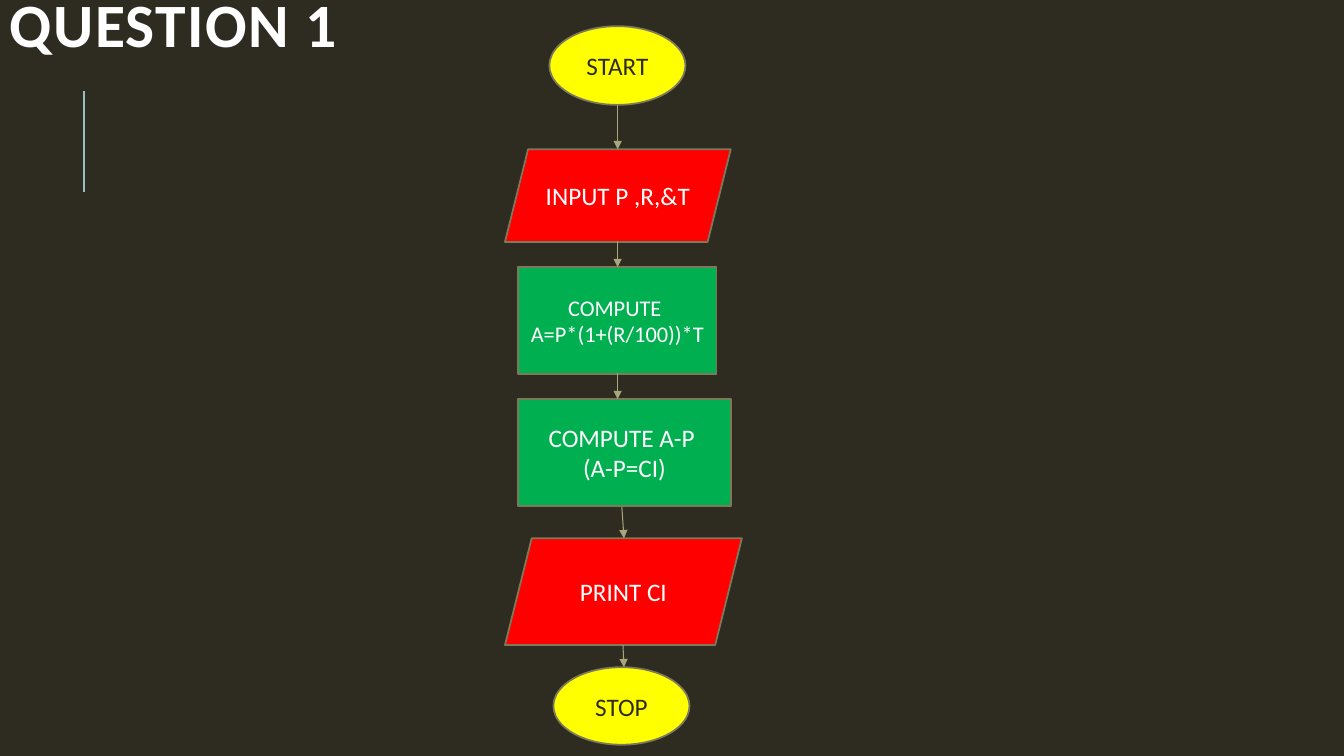
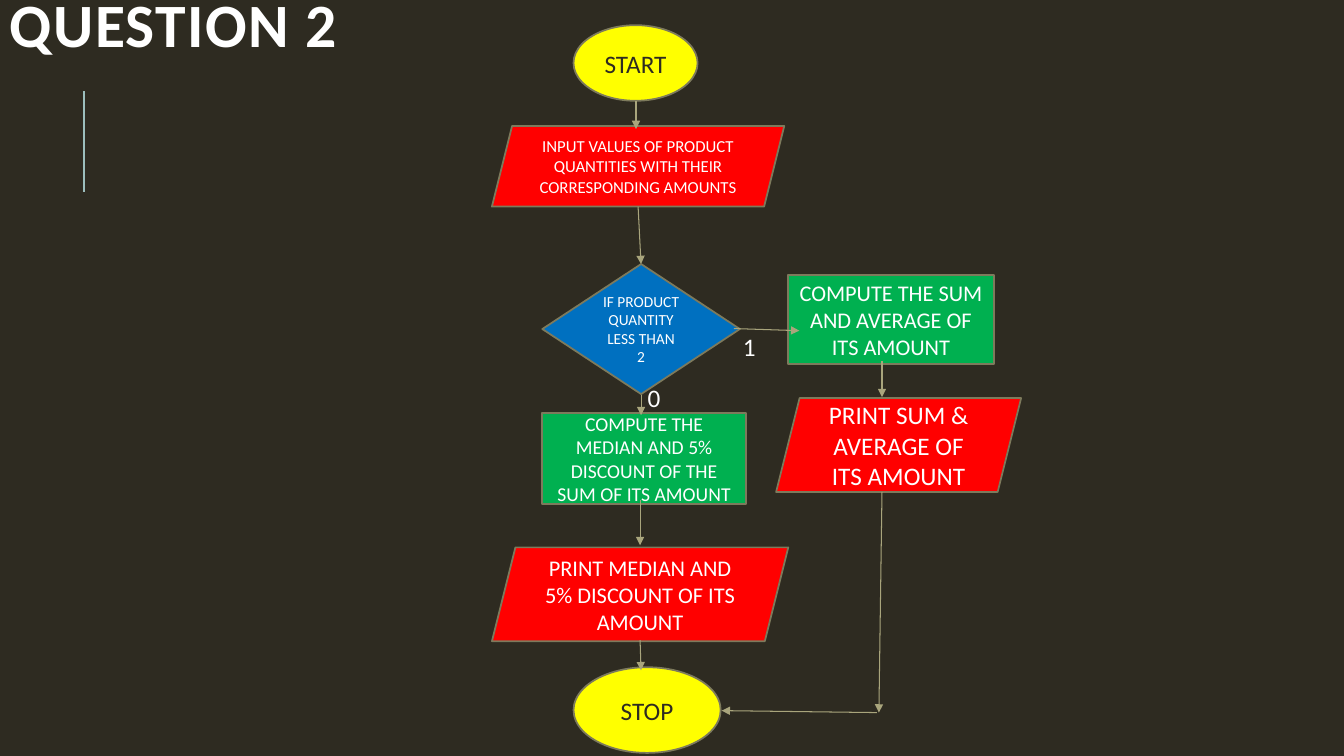
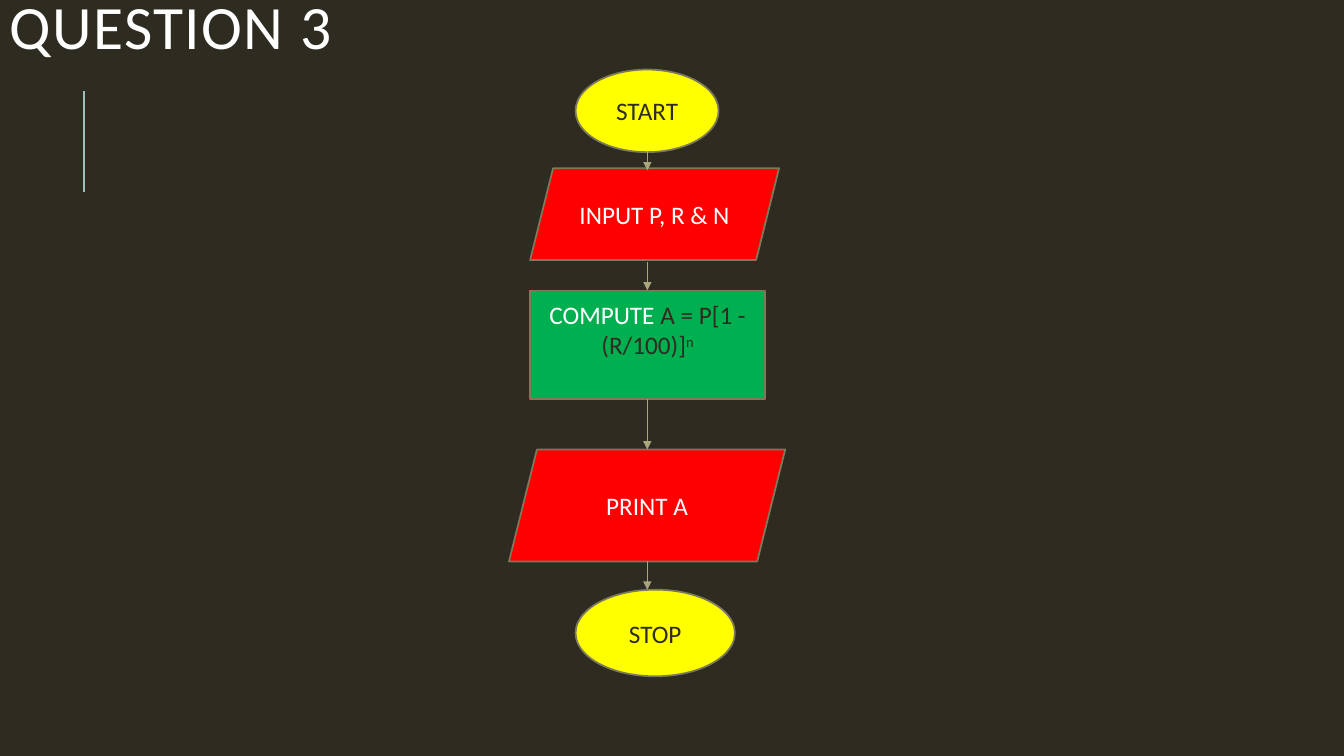
from lxml.etree import SubElement
from pptx import Presentation
from pptx.dml.color import RGBColor
from pptx.enum.shapes import MSO_CONNECTOR, MSO_SHAPE
from pptx.enum.text import MSO_ANCHOR, PP_ALIGN
from pptx.oxml.ns import qn
from pptx.util import Pt

# Shared look
FONT = "Calibri"
WIDTH, HEIGHT = 960, 540
DARK = RGBColor(0x2E, 0x2B, 0x21)
WHITE = RGBColor(0xFF, 0xFF, 0xFF)
YELLOW = RGBColor(0xFF, 0xFF, 0x00)
RED = RGBColor(0xFF, 0x00, 0x00)
GREEN = RGBColor(0x00, 0xB0, 0x50)
BLUE = RGBColor(0x00, 0x70, 0xC0)
OUTLINE = RGBColor(0x7D, 0x7A, 0x5C)
ARROW = RGBColor(0xA9, 0xA5, 0x7C)
ACCENT = RGBColor(0x9C, 0xBE, 0xBD)

# Kind of step: preset shape, fill, text colour
KINDS = {
    "terminal": (MSO_SHAPE.OVAL, YELLOW, DARK),
    "data": (MSO_SHAPE.PARALLELOGRAM, RED, WHITE),
    "process": (MSO_SHAPE.RECTANGLE, GREEN, WHITE),
    "decision": (MSO_SHAPE.DIAMOND, BLUE, WHITE),
}

# A step is kind, paragraphs, text size, (left, top, width, height).
# A paragraph is a string or a list of (text, format) runs.
# An arrow is (x1, y1, x2, y2); a label is text, left, top.
DISCOUNT_FORMULA = [
    ("COMPUTE ", {}),
    ("A = P[1 - (R/100)]", {"color": DARK}),
    ("n", {"color": DARK, "baseline": 30}),
]
SLIDES = [
    {
        "title": "QUESTION 1", "bold": True, "title_height": 43.2,
        "steps": [
            ("terminal", ["START"], 18, (392.4, 18.7, 97.2, 56.2)),
            ("data", ["INPUT P ,R,&T"], 18, (360.7, 106.6, 161.3, 66.2)),
            ("process", ["COMPUTE ", "A=P*(1+(R/100))*T"], 16,
             (370.1, 190.8, 141.8, 76.3)),
            ("process", ["COMPUTE A-P ", "(A-P=CI)"], 18,
             (370.1, 285.1, 151.9, 76.3)),
            ("data", ["PRINT CI"], 18, (360.7, 384.5, 169.2, 76.3)),
            ("terminal", ["STOP"], 18, (395.3, 476.6, 97.2, 55.4)),
        ],
        "arrows": [
            (441.2, 74.9, 441.2, 106.6),
            (441.2, 172.1, 441.2, 190.8),
            (441.2, 266.4, 441.2, 285.1),
            (444.2, 362.2, 445.7, 384.5),
            (445, 460.8, 445.7, 476.6),
        ],
        "labels": [],
    },
    {
        "title": "QUESTION 2", "bold": True, "title_height": 43.2,
        "steps": [
            ("terminal", ["START"], 18, (409.7, 18, 88.6, 54)),
            ("data", ["INPUT VALUES OF PRODUCT QUANTITIES WITH THEIR "
                      "CORRESPONDING AMOUNTS"], 12, (351.4, 90, 208.8, 57.6)),
            ("decision", ["IF PRODUCT QUANTITY LESS THAN 2"], 11,
             (387.4, 188.6, 141.1, 92.9)),
            ("process", ["COMPUTE THE MEDIAN AND 5% DISCOUNT OF THE "
                         "SUM OF ITS AMOUNT"], 14, (387.4, 295.2, 145.4, 64.8)),
            ("process", ["COMPUTE THE SUM AND AVERAGE OF ITS AMOUNT"], 16,
             (563, 196.6, 146.9, 63.4)),
            ("data", ["PRINT MEDIAN AND 5% DISCOUNT OF ITS AMOUNT"], 16,
             (351.4, 391, 211.7, 67)),
            ("terminal", ["STOP"], 18, (409.7, 476.6, 105.1, 61.2)),
            ("data", ["PRINT SUM & AVERAGE OF ITS AMOUNT"], 18,
             (554.4, 284.4, 175, 67)),
        ],
        "arrows": [
            (454.3, 72, 454.3, 92.2),
            (455.8, 147.6, 457.9, 188.6),
            (457.9, 282.2, 457.9, 296.6),
            (524.2, 234.7, 571, 236.2),
            (457.2, 357.1, 457.2, 389.5),
            (630, 257.8, 630, 283.7),
            (630, 351.4, 627.8, 509),
            (626.4, 509, 515.5, 507.6),
            (457.2, 457.2, 457.9, 478.8),
        ],
        "labels": [("1", 530.6, 236.9), ("0", 462.6, 272.9)],
    },
    {
        "title": "QUESTION 3", "bold": False, "title_height": 46,
        "steps": [
            ("terminal", ["START"], 18, (411.1, 49.7, 102.2, 59)),
            ("data", ["INPUT P, R & N"], 18, (378.7, 120.2, 177.8, 65.5)),
            ("process", [DISCOUNT_FORMULA], 18, (378.7, 207.4, 167.8, 77.8),
             {"bottom": 25.6}),
            ("data", ["PRINT A"], 18, (363.6, 321.1, 197.3, 79.9)),
            ("terminal", ["STOP"], 18, (411.1, 421.2, 113.8, 61.9)),
        ],
        "arrows": [
            (462.4, 108.7, 462.4, 121.7),
            (462.4, 187.2, 462.4, 207.4),
            (462.4, 285.1, 462.4, 321.1),
            (462.4, 401, 462.4, 421.2),
        ],
        "labels": [],
    },
]


def write(tf, paragraphs, size=18, color=WHITE, bold=False, align=PP_ALIGN.LEFT,
          anchor=MSO_ANCHOR.MIDDLE, spacing=None, tracking=0,
          side=7.2, top=3.6, bottom=3.6):
    tf.word_wrap = True
    tf.vertical_anchor = anchor
    tf.margin_left = tf.margin_right = Pt(side)
    tf.margin_top, tf.margin_bottom = Pt(top), Pt(bottom)
    for i, runs in enumerate(paragraphs):
        p = tf.add_paragraph() if i else tf.paragraphs[0]
        p.alignment = align
        p.line_spacing = spacing
        for text, fmt in [(runs, {})] if isinstance(runs, str) else runs:
            r = p.add_run()
            r.text = text
            r.font.name, r.font.size, r.font.bold = FONT, Pt(size), bold
            r.font.color.rgb = fmt.get("color", color)
            if tracking:
                r.font._element.set("spc", str(tracking * 100))
            if "baseline" in fmt:
                r.font._element.set("baseline", str(fmt["baseline"] * 1000))


def add_text(slide, text, box, **fmt):
    sp = slide.shapes.add_textbox(*map(Pt, box))
    write(sp.text_frame, [text], **fmt)


def add_step(slide, kind, paragraphs, size, box, fmt={}):
    preset, fill, color = KINDS[kind]
    sp = slide.shapes.add_shape(preset, *map(Pt, box))
    sp.shadow.inherit = False
    sp.fill.solid()
    sp.fill.fore_color.rgb = fill
    sp.line.color.rgb = OUTLINE
    sp.line.width = Pt(1.25)
    write(sp.text_frame, paragraphs, size=size, color=color,
          align=PP_ALIGN.CENTER, **fmt)


def add_line(slide, ends, color=ARROW, width=0.75, arrow=True):
    line = slide.shapes.add_connector(MSO_CONNECTOR.STRAIGHT, *map(Pt, ends))
    line.line.color.rgb = color
    line.line.width = Pt(width)
    if arrow:
        SubElement(line.line._get_or_add_ln(), qn("a:tailEnd"), type="triangle")
    SubElement(line._element.spPr, qn("a:effectLst"))


def add_slide(prs, content):
    slide = prs.slides.add_slide(prs.slide_layouts[6])
    # Accent rule and title
    add_line(slide, (60, 136.8, 60, 64.8), color=ACCENT, width=1.5, arrow=False)
    add_text(slide, content["title"], (0, 0, WIDTH, content["title_height"]),
             size=44, bold=content["bold"], spacing=0.8, tracking=1)
    # Flowchart
    for step in content["steps"]:
        add_step(slide, *step)
    for ends in content["arrows"]:
        add_line(slide, ends)
    for text, left, top in content["labels"]:
        add_text(slide, text, (left, top, 14, 21.6), anchor=MSO_ANCHOR.TOP,
                 side=0, top=0, bottom=0)


def main():
    prs = Presentation()
    prs.slide_width, prs.slide_height = Pt(WIDTH), Pt(HEIGHT)
    background = prs.slide_master.background.fill
    background.solid()
    background.fore_color.rgb = DARK
    for content in SLIDES:
        add_slide(prs, content)
    prs.save("out.pptx")


if __name__ == "__main__":
    main()
